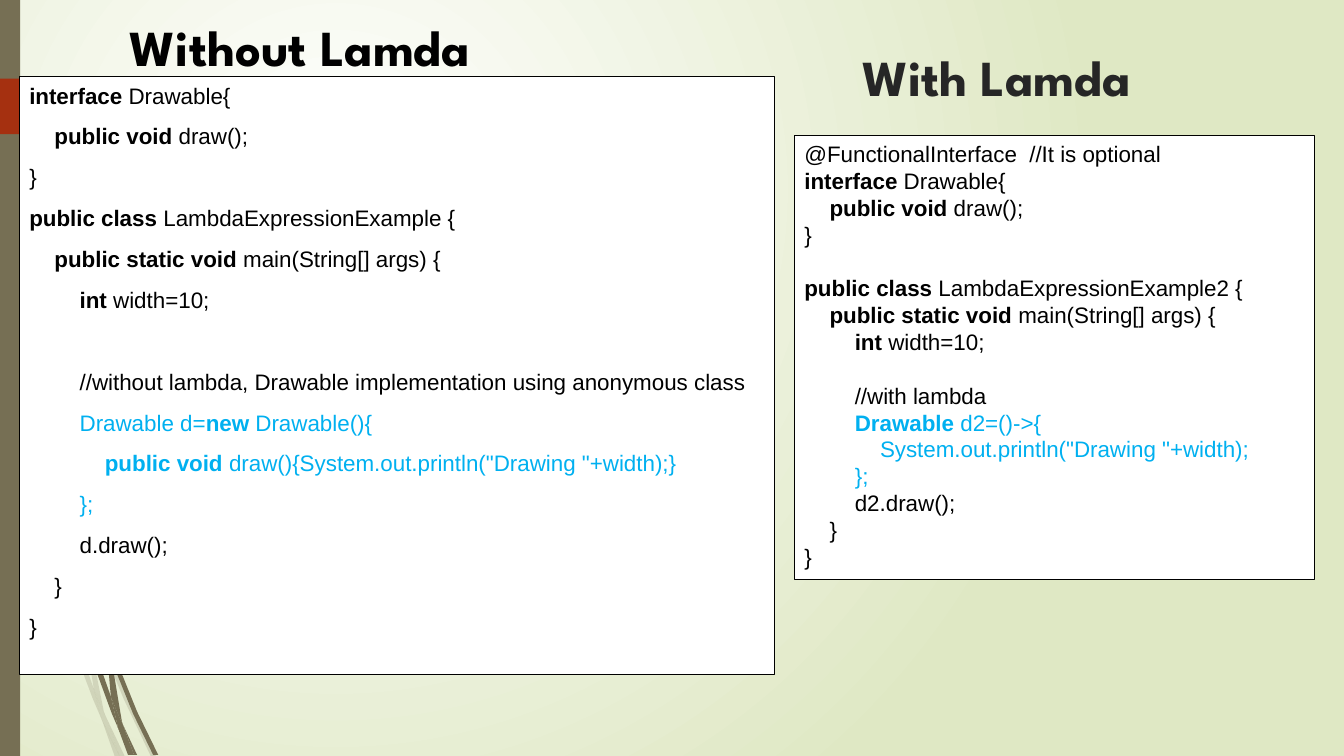
import pptx
import pptx.util
import pptx.dml.color
import pptx.enum.shapes
import pptx.enum.text
import pptx.oxml.ns
import pptx.oxml.xmlchemy

PX = 9144  # 100 px to the inch
SHAPES = pptx.enum.shapes.MSO_SHAPE
ANCHOR = pptx.enum.text.MSO_ANCHOR
qn = pptx.oxml.ns.qn
new_element = pptx.oxml.xmlchemy.OxmlElement
BLUE = "00B0F0"


def rgb(value):
    return pptx.dml.color.RGBColor.from_string(value)


def place(sp, left, top, width, height):
    sp.left, sp.top, sp.width, sp.height = (v * PX for v in (left, top, width, height))


prs = pptx.Presentation()
prs.slide_width, prs.slide_height = 1333 * PX, 750 * PX
s = prs.slides.add_slide(prs.slide_layouts[1])

# Background: radial gradient
fill = s.background.fill
fill.gradient()
for stop, position, color in zip(fill.gradient_stops, (0, 1), ("FFFFFF", "DFE8C4")):
    stop.position = position
    stop.color.rgb = rgb(color)
grad = s.element.find(".//" + qn("a:gradFill"))
grad.remove(grad.find(qn("a:lin")))
circle = new_element("a:path")
circle.set("path", "circle")
focus = new_element("a:fillToRect")
for side, share in (("l", 50000), ("t", 50000), ("r", 100000), ("b", 100000)):
    focus.set(side, str(share))
circle.append(focus)
grad.append(circle)

# Grass blades at the lower left: pale ones behind, dark ones in front
pale_blades = [
    [(92, 607), (88, 596), (88, 610), (123, 694), (150, 751), (155, 751), (127, 692)],
    [(119, 751), (124, 751), (105, 711)],
    [(93, 683), (70, 619), (31, 469), (17, 376), (11, 350), (28, 470), (65, 621),
     (92, 693), (101, 714), (99, 707)],
    [(84, 599), (87, 646), (93, 683), (96, 692), (105, 711), (103, 706), (91, 646),
     (88, 610), (88, 608)],
    [(101, 714), (114, 751), (119, 751)],
    [(96, 692), (93, 683), (99, 707), (101, 714), (119, 751), (105, 711)],
]
dark_blades = [
    [(113, 649), (110, 641), (111, 656), (132, 708), (152, 749), (157, 749), (136, 706)],
    [(110, 691), (98, 657), (72, 556), (64, 505), (57, 477), (68, 557), (93, 659),
     (111, 708), (117, 722), (116, 717)],
    [(133, 749), (136, 749), (122, 719)],
    [(117, 722), (127, 749), (131, 749)],
    [(106, 645), (110, 691), (116, 706), (122, 719), (121, 716), (111, 656), (109, 651)],
    [(116, 706), (110, 691), (116, 717), (117, 722), (130, 749), (133, 749), (122, 719)],
]
for blades, opacity in ((pale_blades, 20), (dark_blades, 100)):
    for points in blades:
        builder = s.shapes.build_freeform(*points[0], scale=PX)
        builder.add_line_segments(points[1:], close=True)
        sp = builder.convert_to_shape()
        sp.shadow.inherit = False
        sp.fill.solid()
        sp.fill.fore_color.rgb = rgb("766F54")
        sp.line.fill.background()
        if opacity < 100:
            alpha = new_element("a:alpha")
            alpha.set("val", str(opacity * 1000))
            sp.element.spPr.find(".//" + qn("a:srgbClr")).append(alpha)

# Side bar and red tab
for kind, box, color in (
    (SHAPES.RECTANGLE, (0, 0, 20, 750), "766F54"),
    (SHAPES.PENTAGON, (0, 78, 174, 55), "A53010"),
):
    sp = s.shapes.add_shape(kind, 0, 0, PX, PX)
    place(sp, *box)
    sp.shadow.inherit = False
    sp.fill.solid()
    sp.fill.fore_color.rgb = rgb(color)
    sp.line.fill.background()

# Placeholders go in front of the decoration
title, body = s.shapes.title, s.placeholders[1]
for holder in (title, body):
    s.shapes._spTree.append(holder.element)

# Headings
heading = s.shapes.add_textbox(0, 0, PX, PX)
for sp, left, top, text, color in (
    (title, 845, 35, "With Lamda", "262626"),
    (heading, 119, 5, "Without Lamda", "000000"),
):
    place(sp, left, top, 401, 82)
    tf = sp.text_frame
    tf.text = text
    tf.word_wrap = True
    tf.auto_size = pptx.enum.text.MSO_AUTO_SIZE.NONE
    tf.vertical_anchor = ANCHOR.MIDDLE
    p = tf.paragraphs[0]
    p.alignment = pptx.enum.text.PP_ALIGN.LEFT
    font = p.runs[0].font
    font.name, font.size, font.bold = "League Spartan", pptx.util.Pt(36), True
    font.color.rgb = rgb(color)

# Code: indent level, text with **keywords**, colour, blank lines above
without_lambda = [
    (0, "**interface** Drawable{", "000000", 0),
    (1, "**public void** draw();", "000000", 0),
    (0, "}", "000000", 0),
    (0, "**public class** LambdaExpressionExample {", "000000", 0),
    (1, "**public static void** main(String[] args) {", "000000", 0),
    (2, "**int** width=10;", "000000", 0),
    (2, "//without lambda, Drawable implementation using anonymous class", "000000", 1),
    (2, "Drawable d=**new** Drawable(){", BLUE, 0),
    (3, '**public void** draw(){System.out.println("Drawing "+width);}', BLUE, 0),
    (2, "};", BLUE, 0),
    (2, "d.draw();", "000000", 0),
    (1, "}", "000000", 0),
    (0, "}", "000000", 0),
]
with_lambda = [
    (0, "@FunctionalInterface  //It is optional", "000000", 0),
    (0, "**interface** Drawable{", "000000", 0),
    (1, "**public void** draw();", "000000", 0),
    (0, "}", "000000", 0),
    (0, "**public class** LambdaExpressionExample2 {", "000000", 1),
    (1, "**public static void** main(String[] args) {", "000000", 0),
    (2, "**int** width=10;", "000000", 0),
    (2, "//with lambda", "000000", 1),
    (2, "**Drawable** d2=()->{", BLUE, 0),
    (3, 'System.out.println("Drawing "+width);', BLUE, 0),
    (2, "};", BLUE, 0),
    (2, "d2.draw();", "000000", 0),
    (1, "}", "000000", 0),
    (0, "}", "000000", 0),
]
LINE = 19.2  # line height in points
code_box = s.shapes.add_textbox(0, 0, PX, PX)
for sp, box, lines, gap in (
    (body, (19, 76, 749, 593), without_lambda, 10),
    (code_box, (788, 134, 516, 441), with_lambda, 0),
):
    place(sp, *box)
    sp.fill.solid()
    sp.fill.fore_color.rgb = rgb("FFFFFF")
    sp.line.color.rgb = rgb("000000")
    sp.line.width = pptx.util.Pt(0.75)
    tf = sp.text_frame
    tf.word_wrap = True
    tf.auto_size = pptx.enum.text.MSO_AUTO_SIZE.NONE
    tf.vertical_anchor = ANCHOR.TOP
    for i, (level, text, color, blanks) in enumerate(lines):
        p = tf.paragraphs[0] if i == 0 else tf.add_paragraph()
        p.line_spacing = pptx.util.Pt(LINE)
        p.space_before = pptx.util.Pt(gap + blanks * (gap + LINE))
        p.space_after = pptx.util.Pt(0)
        pPr = p._p.get_or_add_pPr()
        pPr.set("marL", str(level * 25 * PX))
        pPr.set("indent", "0")
        pPr.append(new_element("a:buNone"))
        for j, part in enumerate(text.split("**")):
            if part:
                r = p.add_run()
                r.text = part
                r.font.name, r.font.size = "Arial", pptx.util.Pt(16)
                r.font.bold = j % 2 == 1
                r.font.color.rgb = rgb(color)

prs.save("out.pptx")
